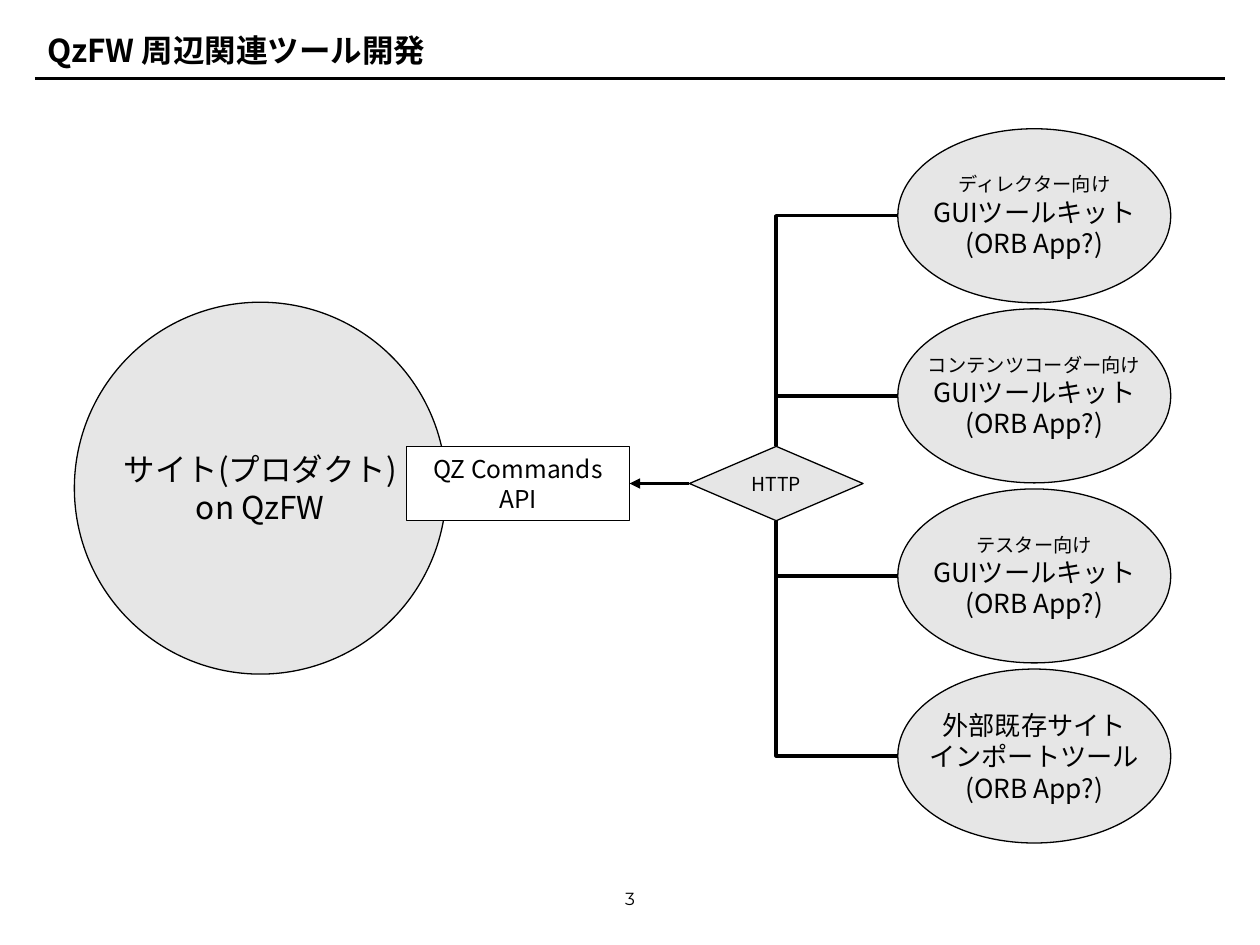
from dataclasses import dataclass

from lxml.etree import SubElement
from pptx import Presentation
from pptx.dml.color import RGBColor
from pptx.enum.shapes import MSO_CONNECTOR as CONN, MSO_SHAPE as SHAPE
from pptx.enum.text import MSO_ANCHOR as ANCHOR, PP_ALIGN as ALIGN
from pptx.oxml.ns import qn
from pptx.util import Pt


@dataclass(frozen=True)
class Theme:
    black = RGBColor(0, 0, 0)
    white = RGBColor(255, 255, 255)
    grey = RGBColor(0xE6, 0xE6, 0xE6)
    font = "Noto Sans CJK JP"
    number_font = "Montserrat"
    large, tool, api, small, number = 18, 15, 14, 11, 10


T = Theme()


def write(shape, lines, wrap=False, anchor=ANCHOR.MIDDLE, align=ALIGN.CENTER,
          font=T.font, bold=False):
    """Fill a shape with (text, size) lines, one paragraph each."""
    tf = shape.text_frame
    tf.word_wrap = wrap
    tf.vertical_anchor = anchor
    for i, (text, size) in enumerate(lines):
        p = tf.add_paragraph() if i else tf.paragraphs[0]
        p.text = text
        p.alignment = align
        p.font.size = Pt(size)
        p.font.name = font
        p.font.bold = bold
        p.font.color.rgb = T.black
        # East Asian text needs its own typeface
        SubElement(p._p.pPr.find(qn("a:defRPr")), qn("a:ea"), typeface=font)


def style(shape, fill=None, width=0):
    """Black outline, no shadow, and a fill for closed shapes."""
    shape.line.color.rgb = T.black
    shape.line.width = Pt(width)
    if fill is None:
        SubElement(shape._element.spPr, qn("a:effectLst"))
    else:
        shape.shadow.inherit = False
        shape.fill.solid()
        shape.fill.fore_color.rgb = fill


prs = Presentation()
prs.slide_width, prs.slide_height = Pt(720), Pt(540)
s = prs.slides.add_slide(prs.slide_layouts[6])

# Title and rule
rule = s.shapes.add_connector(CONN.STRAIGHT, Pt(20), Pt(44.8), Pt(700), Pt(44.8))
style(rule, width=2)
title = s.shapes.add_textbox(Pt(20), Pt(11.5), Pt(680), Pt(34.5))
write(title, [("QzFW 周辺関連ツール開発", T.large)], wrap=True, align=ALIGN.LEFT, bold=True)

# Site
site = s.shapes.add_shape(SHAPE.OVAL, Pt(42.5), Pt(172.7), Pt(212.5), Pt(212.5))
style(site, T.grey)
write(site, [("サイト(プロダクト)", T.large), ("on QzFW", T.large)])

# API and HTTP, joined by an arrow
mid_y, node_h = 276.3, 42.5
api = s.shapes.add_shape(SHAPE.RECTANGLE, Pt(232.3), Pt(mid_y - node_h / 2), Pt(127.5), Pt(node_h))
style(api, T.white)
write(api, [("QZ Commands", T.api), ("API", T.api)])

http_x, http_w = 394, 99.2
http = s.shapes.add_shape(SHAPE.DIAMOND, Pt(http_x), Pt(mid_y - node_h / 2), Pt(http_w), Pt(node_h))
style(http, T.grey)
write(http, [("HTTP", T.small)], wrap=True)

arrow = s.shapes.add_connector(CONN.STRAIGHT, 0, 0, 0, 0)
arrow.begin_connect(http, 1)
arrow.end_connect(api, 3)
style(arrow)
SubElement(arrow.line._get_or_add_ln(), qn("a:tailEnd"), type="triangle")

# Tools, each with an elbow from the top or bottom of HTTP
gui = [("GUIツールキット", T.tool), ("(ORB App?)", T.tool)]
tools = [
    [("ディレクター向け", T.small)] + gui,
    [("コンテンツコーダー向け", T.small)] + gui,
    [("テスター向け", T.small)] + gui,
    [("外部既存サイト", T.tool), ("インポートツール", T.tool), ("(ORB App?)", T.tool)],
]
tool_x, tool_top, tool_w, tool_h, pitch = 513, 73.6, 156, 99.4, 102.9
start_x = http_x + http_w / 2
run = tool_x - start_x
for i, lines in enumerate(tools):
    top = tool_top + i * pitch
    tool = s.shapes.add_shape(SHAPE.OVAL, Pt(tool_x), Pt(top), Pt(tool_w), Pt(tool_h))
    style(tool, T.grey)
    write(tool, lines)

    # The elbow is a quarter-turned frame around the midpoint of its ends
    end_y = top + tool_h / 2
    up = end_y < mid_y
    start_y = mid_y - node_h / 2 if up else mid_y + node_h / 2
    rise = abs(end_y - start_y)
    left, frame_top = start_x + run / 2 - rise / 2, (start_y + end_y) / 2 - run / 2
    elbow = s.shapes.add_connector(CONN.ELBOW, Pt(left), Pt(frame_top),
                                   Pt(left + rise), Pt(frame_top + run))
    style(elbow)
    elbow._element.spPr.find(qn("a:prstGeom")).set("prst", "bentConnector2")
    xfrm = elbow._element.spPr.find(qn("a:xfrm"))
    xfrm.set("rot", str((90 if up else 270) * 60000))
    xfrm.set("flipH", "1")
    if up:
        xfrm.set("flipV", "1")

# Page number
number = s.shapes.add_textbox(Pt(224), Pt(504), Pt(272), Pt(21))
write(number, [("3", T.number)], wrap=True, anchor=ANCHOR.TOP, font=T.number_font)

prs.save("out.pptx")
